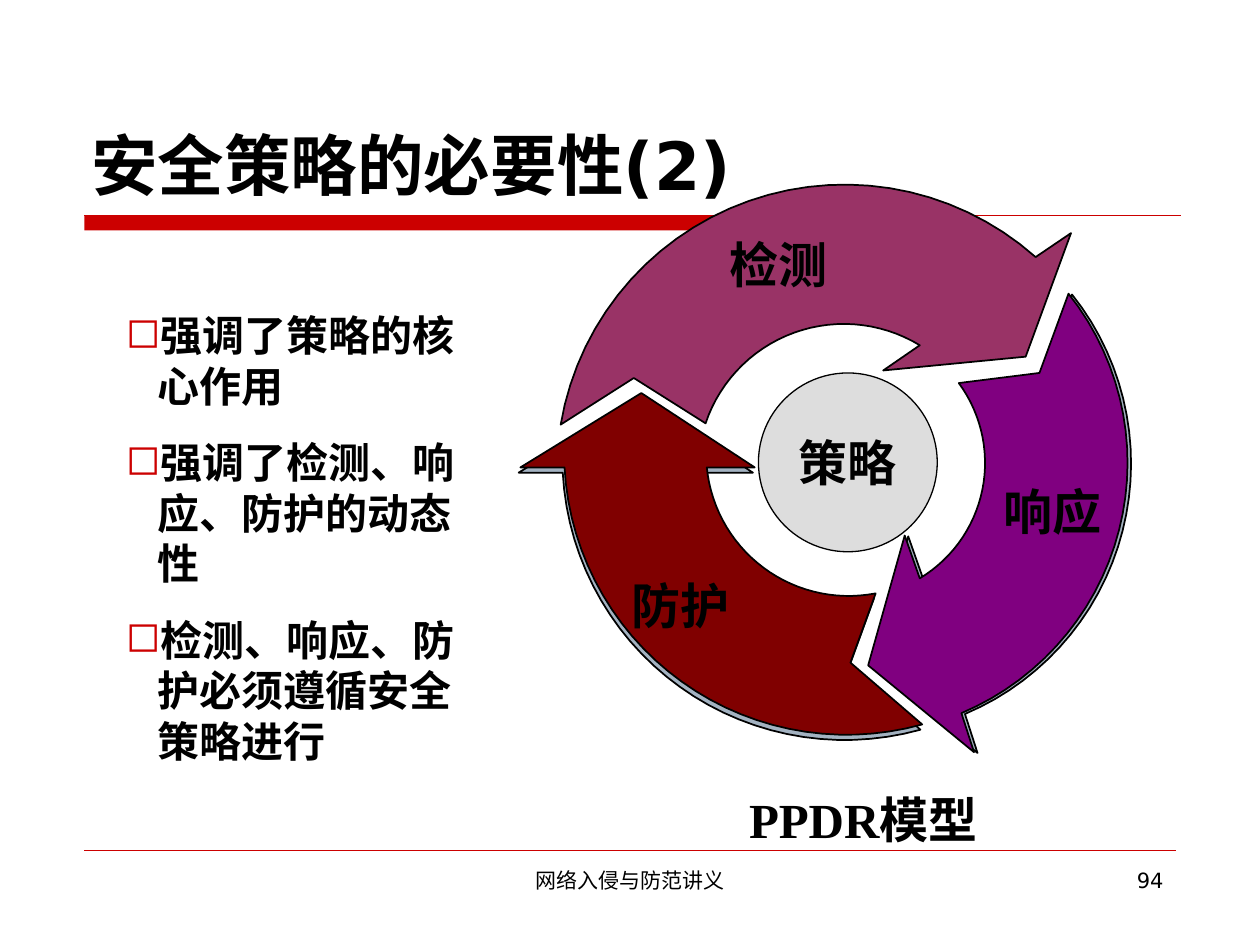
from math import atan2, cos, dist, remainder, sin, tau

from lxml.etree import SubElement
from pptx import Presentation
from pptx.dml.color import RGBColor
from pptx.enum.shapes import MSO_CONNECTOR, MSO_SHAPE
from pptx.enum.text import MSO_ANCHOR, MSO_AUTO_SIZE, PP_ALIGN
from pptx.oxml.ns import qn
from pptx.util import Pt

COLORS = {
    "text": "000000",
    "red": "CC0000",
    "shadow": "A3B2C1",
    "detect": "993366",
    "respond": "800080",
    "protect": "800000",
    "policy": "DDDDDD",
}
SANS = "DejaVu Sans"
SERIF = "Times New Roman"
ARC_STEPS = 30


def color(name):
    return RGBColor.from_string(COLORS[name])


def format_paragraph(para, size, font, bold, align):
    para.alignment = align
    for span in para.runs:
        span.font.size = Pt(size)
        span.font.name = font
        span.font.bold = bold
        span.font.color.rgb = color("text")


def set_insets(frame, side, top):
    frame.margin_left = frame.margin_right = Pt(side)
    frame.margin_top = frame.margin_bottom = Pt(top)


def add_title(page, text):
    title = page.shapes.title
    title.left, title.top, title.width, title.height = Pt(45), Pt(24), Pt(630), Pt(96)
    frame = title.text_frame
    frame.text = text
    frame.auto_size = MSO_AUTO_SIZE.NONE
    frame.vertical_anchor = MSO_ANCHOR.BOTTOM
    format_paragraph(frame.paragraphs[0], 38, SANS, True, PP_ALIGN.LEFT)


def add_text(page, text, left, top, width, height, size, font,
             bold=False, align=PP_ALIGN.CENTER, insets=(0, 0)):
    box = page.shapes.add_textbox(Pt(left), Pt(top), Pt(width), Pt(height))
    frame = box.text_frame
    frame.word_wrap = True
    set_insets(frame, *insets)
    frame.text = text
    format_paragraph(frame.paragraphs[0], size, font, bold, align)


def add_label(page, text, left, top, width=158.4):
    add_text(page, text, left, top, width, 34, 28, SERIF, bold=True)


def add_bullets(page, items, left, top, width, height):
    box = page.shapes.add_textbox(Pt(left), Pt(top), Pt(width), Pt(height))
    frame = box.text_frame
    frame.word_wrap = True
    set_insets(frame, 7.2, 3.6)
    frame.text = "\n".join(items)
    for index, para in enumerate(frame.paragraphs):
        if index:
            para.space_before = Pt(15)
        properties = para._p.get_or_add_pPr()
        properties.set("marL", str(Pt(18)))
        properties.set("indent", str(-Pt(18)))
        bullet_color = SubElement(properties, qn("a:buClr"))
        SubElement(bullet_color, qn("a:srgbClr"), val=COLORS["red"])
        SubElement(properties, qn("a:buChar"), char="◻")
        format_paragraph(para, 24, SERIF, True, PP_ALIGN.LEFT)


def add_rule(page, left, right, top, weight):
    rule = page.shapes.add_connector(
        MSO_CONNECTOR.STRAIGHT, Pt(left), Pt(top), Pt(right), Pt(top))
    rule.line.color.rgb = color("red")
    rule.line.width = Pt(weight)
    SubElement(rule._element.spPr, qn("a:effectLst"))


def add_preset(page, kind, left, top, width, height, fill):
    shape = page.shapes.add_shape(kind, Pt(left), Pt(top), Pt(width), Pt(height))
    shape.shadow.inherit = False
    shape.fill.solid()
    shape.fill.fore_color.rgb = color(fill)
    return shape


def add_policy_circle(page, text):
    circle = add_preset(page, MSO_SHAPE.OVAL, 433.4, 213.1, 102.2, 102.2, "policy")
    circle.line.color.rgb = color("text")
    circle.line.width = Pt(0.75)
    frame = circle.text_frame
    frame.word_wrap = False
    frame.vertical_anchor = MSO_ANCHOR.MIDDLE
    frame.text = text
    format_paragraph(frame.paragraphs[0], 28, SERIF, True, PP_ALIGN.CENTER)


def arc(start, middle, end):
    (ax, ay), (bx, by), (cx, cy) = start, middle, end
    a, b, c = (x * x + y * y for x, y in (start, middle, end))
    divisor = 2 * (ax * (by - cy) + bx * (cy - ay) + cx * (ay - by))
    center = (
        (a * (by - cy) + b * (cy - ay) + c * (ay - by)) / divisor,
        (a * (cx - bx) + b * (ax - cx) + c * (bx - ax)) / divisor,
    )
    radius = dist(center, start)
    first = atan2(ay - center[1], ax - center[0])
    last = atan2(cy - center[1], cx - center[0])
    step = remainder(last - first, tau) / ARC_STEPS
    return [
        (center[0] + radius * cos(first + step * index),
         center[1] + radius * sin(first + step * index))
        for index in range(ARC_STEPS + 1)
    ]


def add_arrow(page, outline, fill, shift=(0, 0)):
    points = [(Pt(x + shift[0]), Pt(y + shift[1])) for x, y in outline]
    builder = page.shapes.build_freeform(*points[0], scale=1.0)
    builder.add_line_segments(points[1:], close=True)
    arrow = builder.convert_to_shape()
    arrow.shadow.inherit = False
    arrow.fill.solid()
    arrow.fill.fore_color.rgb = color(fill)
    arrow.line.color.rgb = color("text")
    arrow.line.width = Pt(1)


def add_cycle(page):
    detect = [
        (504.7, 211.7), (586.1, 203.8), (612, 133.2),
        *arc((591.8, 146.9), (472.3, 105.8), (320.4, 242.6)),
        (362.2, 216),
        *arc((403.2, 241.9), (460.8, 187.9), (525.6, 197.3)),
    ]
    respond = [
        *arc((549.4, 407.5), (633.6, 321.1), (610.6, 167.8)),
        (594, 213.1),
        *arc((547.9, 218.9), (561.6, 278.6), (525.6, 330.5)),
        (517, 306), (496.1, 380.2), (556.6, 429.8),
    ]
    protect = [
        (486, 378.7),
        *arc((500.4, 339.1), (431.3, 320.4), (403.9, 267.1)),
        (431.3, 267.1), (366.5, 224.6), (297.4, 267.1),
        *arc((322.6, 267.1), (383.8, 385.2), (527, 414)),
    ]
    add_arrow(page, respond, "shadow", (2, 0.5))
    add_arrow(page, protect, "shadow", (-1, 3))
    for outline, fill, text, left, top in (
        (detect, "detect", "检测", 365.8, 133.9),
        (respond, "respond", "响应", 522, 275),
        (protect, "protect", "防护", 309.6, 329),
    ):
        add_arrow(page, outline, fill)
        add_label(page, text, left, top)
    add_policy_circle(page, "策略")
    add_label(page, "PPDR模型", 365.8, 451.4, 254.9)


def main():
    deck = Presentation()
    deck.slide_width, deck.slide_height = Pt(720), Pt(540)
    page = deck.slides.add_slide(deck.slide_layouts[5])
    bar = add_preset(page, MSO_SHAPE.RECTANGLE, 48.2, 123.1, 366.5, 8.6, "red")
    bar.line.fill.background()
    add_rule(page, 48.2, 674.6, 123.1, 0.75)
    add_rule(page, 48.2, 672, 486, 0.25)
    add_text(page, "网络入侵与防范讲义", 246, 492, 228, 37.5, 12, SANS,
             insets=(7.2, 3.6))
    add_text(page, "94", 516, 492, 156, 37.5, 12, SANS,
             align=PP_ALIGN.RIGHT, insets=(7.2, 3.6))
    add_title(page, "安全策略的必要性(2)")
    add_cycle(page)
    add_bullets(page, [
        "强调了策略的核心作用",
        "强调了检测、响应、防护的动态性",
        "检测、响应、防护必须遵循安全策略进行",
    ], 64.8, 173.5, 221, 239)
    deck.save("out.pptx")


if __name__ == "__main__":
    main()
